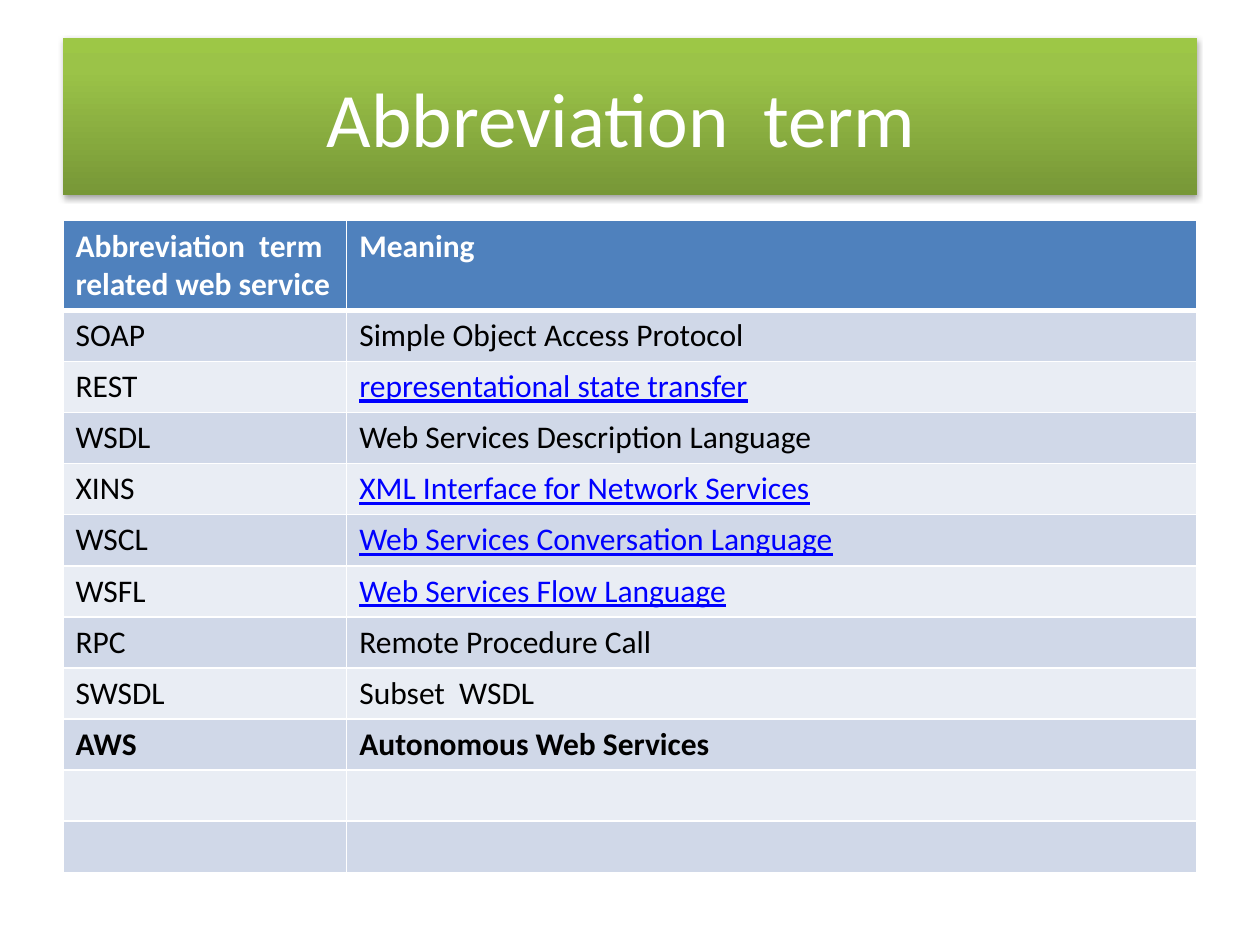
from lxml import etree
from pptx import Presentation
from pptx.dml.color import RGBColor
from pptx.enum.text import MSO_ANCHOR, PP_ALIGN
from pptx.oxml import parse_xml
from pptx.util import Cm, Pt

MIDDLE = MSO_ANCHOR.MIDDLE
CENTER = PP_ALIGN.CENTER
NAMESPACE = "http://schemas.openxmlformats.org/drawingml/2006/main"
FONT = "Calibri"
WHITE, BLACK, LINK = "FFFFFF", "000000", "0000FF"
HEADER_FILL, BAND_FILLS = "4F81BD", ("D0D8E8", "E9EDF4")

TITLE = "Abbreviation  term "
HEADER = ("Abbreviation  term  related web service", "Meaning")
TERMS = [
    ("SOAP", "Simple Object Access Protocol"),
    ("REST", "representational state transfer"),
    ("WSDL", "Web Services Description Language"),
    ("XINS", "XML Interface for Network Services"),
    ("WSCL", "Web Services Conversation Language"),
    ("WSFL", "Web Services Flow Language"),
    ("RPC", "Remote Procedure Call"),
    ("SWSDL", "Subset  WSDL"),
    ("AWS", "Autonomous Web Services"),
    ("", ""),
    ("", ""),
]
UNDERLINED_TERMS = {"REST", "XINS", "WSCL", "WSFL"}
BOLD_TERMS = {"AWS"}

LEFT, WIDTH = Cm(1.27), Cm(22.86)
COLUMN_WIDTHS = (Cm(5.72), Cm(17.14))
HEADER_HEIGHT, ROW_HEIGHT = Cm(1.78), Cm(1.03)
GRADIENT = [(0, "779737"), (80, "9BC348"), (100, "9DC746")]


def color(hex_value):
    return RGBColor.from_string(hex_value)


def format_text(paragraph, size, hex_value, bold=False, underline=False):
    for run in paragraph.runs:
        run.font.name = FONT
        run.font.size = Pt(size)
        run.font.bold = bold
        run.font.underline = underline
        run.font.color.rgb = color(hex_value)


def add_gradient_and_shadow(shape):
    stops = "".join(
        f'<a:gs pos="{position * 1000}"><a:srgbClr val="{hex_value}"/></a:gs>'
        for position, hex_value in GRADIENT
    )
    properties = shape.element.spPr
    properties.append(parse_xml(
        f'<a:gradFill xmlns:a="{NAMESPACE}" rotWithShape="1"><a:gsLst>{stops}</a:gsLst>'
        '<a:lin ang="16200000" scaled="0"/></a:gradFill>'
    ))
    properties.append(parse_xml(
        f'<a:effectLst xmlns:a="{NAMESPACE}">'
        f'<a:outerShdw blurRad="{Pt(3.1)}" dist="{Pt(1.8)}" dir="5400000" rotWithShape="0">'
        '<a:srgbClr val="000000"><a:alpha val="35000"/></a:srgbClr>'
        '</a:outerShdw></a:effectLst>'
    ))


def add_borders(cell, top, bottom):
    """Draw white borders; top and bottom are widths in points."""
    properties = cell._tc.get_or_add_tcPr()
    for side, width in (("L", 1), ("R", 1), ("T", top), ("B", bottom)):
        line = etree.SubElement(properties, f"{{{NAMESPACE}}}ln{side}", w=str(Pt(width)))
        fill = etree.SubElement(line, f"{{{NAMESPACE}}}solidFill")
        etree.SubElement(fill, f"{{{NAMESPACE}}}srgbClr", val=WHITE)


def fill_row(table, row, texts, fill, text_color, bold, underlined_meaning=False):
    top, bottom = (3 if row == 1 else 1), (3 if row == 0 else 1)
    for column, text in enumerate(texts):
        cell = table.cell(row, column)
        add_borders(cell, top, bottom)
        cell.fill.solid()
        cell.fill.fore_color.rgb = color(fill)
        cell.text_frame.text = text
        underline = underlined_meaning and column == 1
        format_text(cell.text_frame.paragraphs[0], 18,
                    LINK if underline else text_color, bold, underline)


def main():
    presentation = Presentation()
    presentation.slide_width, presentation.slide_height = Cm(25.4), Cm(19.05)
    slide = presentation.slides.add_slide(presentation.slide_layouts[5])

    title = slide.shapes.title
    title.left, title.top, title.width, title.height = LEFT, Cm(0.76), WIDTH, Cm(3.18)
    add_gradient_and_shadow(title)
    title.text_frame.text = TITLE
    title.text_frame.vertical_anchor = MIDDLE
    title_paragraph = title.text_frame.paragraphs[0]
    title_paragraph.alignment = CENTER
    format_text(title_paragraph, 44, WHITE)

    table_height = HEADER_HEIGHT + ROW_HEIGHT * len(TERMS)
    table = slide.shapes.add_table(
        len(TERMS) + 1, len(HEADER), LEFT, Cm(4.45), WIDTH, table_height
    ).table
    for column, width in zip(table.columns, COLUMN_WIDTHS):
        column.width = width
    for index, row in enumerate(table.rows):
        row.height = ROW_HEIGHT if index else HEADER_HEIGHT

    fill_row(table, 0, HEADER, HEADER_FILL, WHITE, True)
    for index, texts in enumerate(TERMS):
        term = texts[0]
        fill_row(table, index + 1, texts, BAND_FILLS[index % 2], BLACK,
                 term in BOLD_TERMS, term in UNDERLINED_TERMS)

    presentation.save("out.pptx")


if __name__ == "__main__":
    main()
